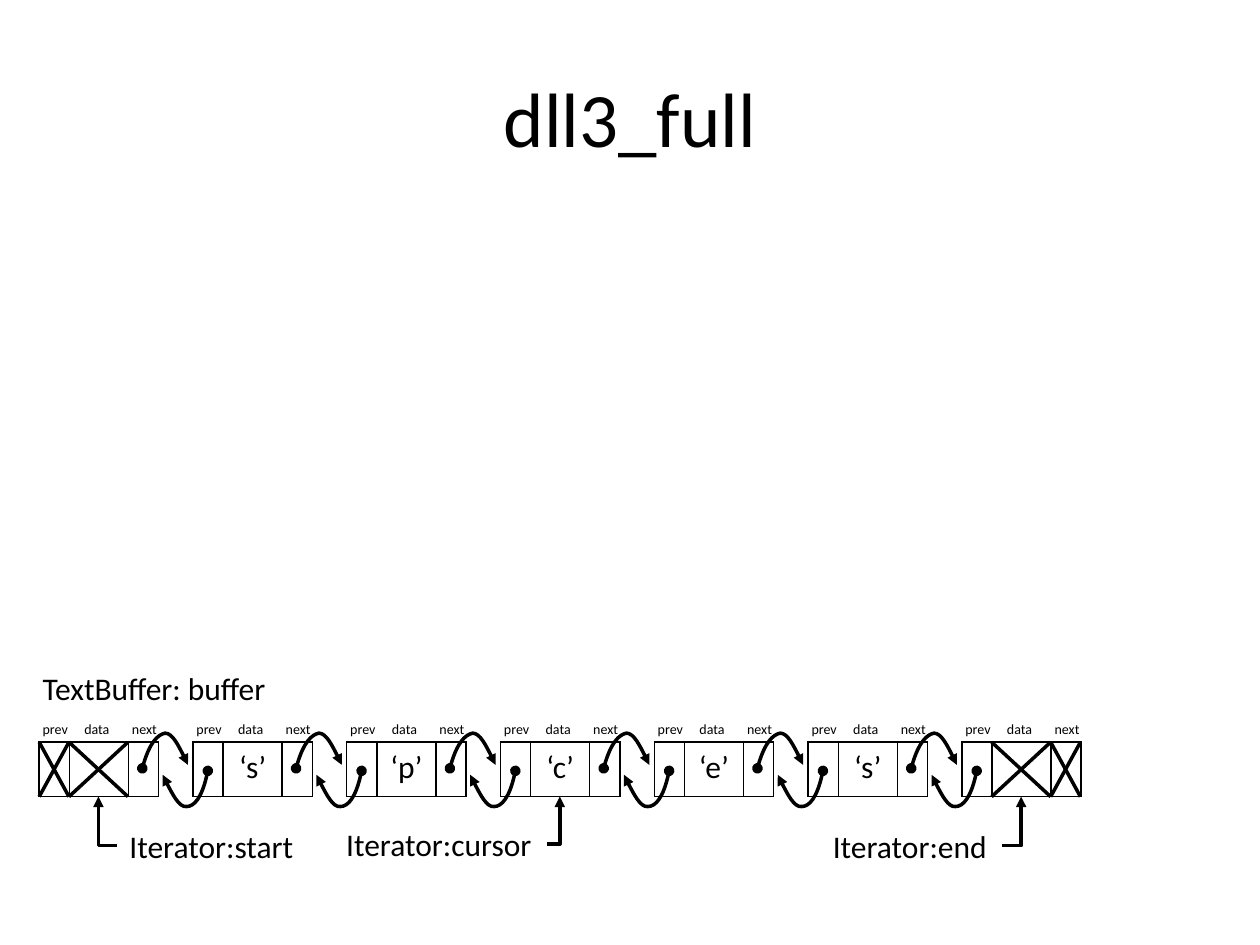
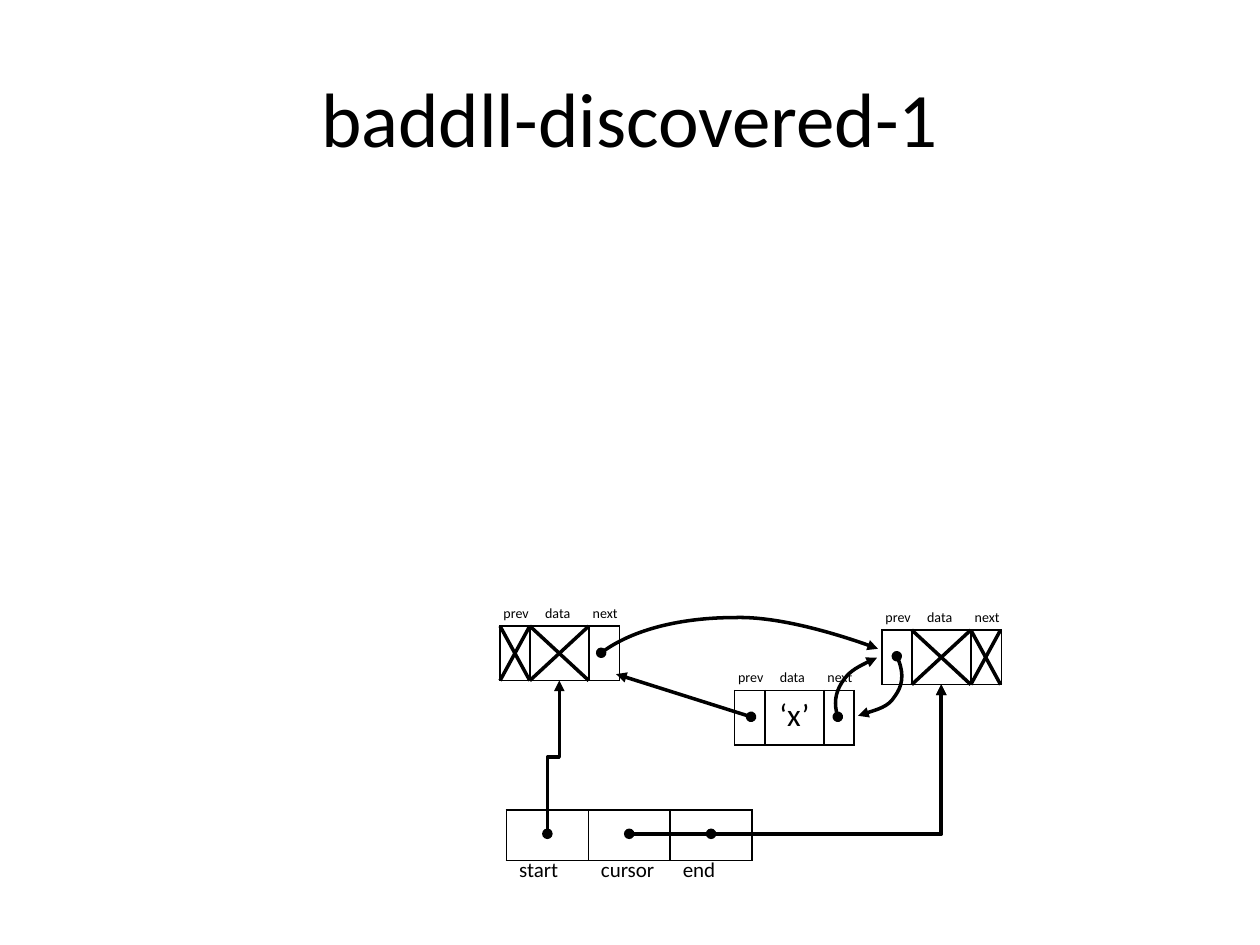
import dataclasses
import typing

import lxml.etree
import pptx
import pptx.dml.color
import pptx.enum.shapes
import pptx.enum.text
import pptx.oxml.ns
import pptx.util

Cm = pptx.util.Cm
qn = pptx.oxml.ns.qn
Point = tuple[float, float]

COLORS = {"ink": "000000", "paper": "FFFFFF"}
FONT = "Calibri"
LINE_PT = 2
CENTER = pptx.enum.text.PP_ALIGN.CENTER

# Node geometry in centimetres; arrow points are relative to the node's corner
COLUMNS = (0.6, 1.19, 0.6)
NODE_HEIGHT = 1.1
FIELD_LABELS = (("prev", -0.18), ("data", 0.66), ("next", 1.62))
NEXT_ARROW = ((2.08, 0.53), (2.21, 0.03), (2.39, -0.15), (2.54, -0.18),
              (2.69, -0.18), (2.92, 0.28), (3.0, 0.46))
PREV_ARROW = ((0.3, 0.58), (0.2, 1.09), (0.03, 1.3), (-0.13, 1.3),
              (-0.28, 1.32), (-0.53, 0.84), (-0.61, 0.66))


@dataclasses.dataclass
class Node:
    left: float
    top: float
    datum: str = ""
    crossed: tuple[int, ...] = ()

    @property
    def pointer_target(self) -> Point:
        return self.left + sum(COLUMNS) / 2, self.top + NODE_HEIGHT

    def offset(self, points: typing.Iterable[Point]) -> list[Point]:
        return [(self.left + x, self.top + y) for x, y in points]


@dataclasses.dataclass
class IteratorLabel:
    text: str
    left: float
    top: float
    width: float
    node: Node
    arrow_leaves_left: bool = False


def rgb(name: str) -> pptx.dml.color.RGBColor:
    return pptx.dml.color.RGBColor.from_string(COLORS[name])


def style_text(frame, size: float, align=None) -> None:
    for paragraph in frame.paragraphs:
        paragraph.alignment = align
        paragraph.font.size = pptx.util.Pt(size)
        for run in paragraph.runs:
            run.font.size = pptx.util.Pt(size)
            run.font.name = FONT
            run.font.color.rgb = rgb("ink")


def add_text(slide, text: str, left: float, top: float, width: float,
             height: float, size: float, wrap: bool = False, align=None):
    box = slide.shapes.add_textbox(Cm(left), Cm(top), Cm(width), Cm(height))
    frame = box.text_frame
    frame.text = text
    frame.word_wrap = wrap
    if not wrap:
        frame.auto_size = pptx.enum.text.MSO_AUTO_SIZE.SHAPE_TO_FIT_TEXT
    style_text(frame, size, align)
    return box


def add_title(slide, text: str) -> None:
    title = add_text(slide, text, 1.27, 0.76, 22.86, 3.18, 44, True, CENTER)
    title.text_frame.vertical_anchor = pptx.enum.text.MSO_ANCHOR.MIDDLE


def set_borders(cell, visible: bool) -> None:
    properties = cell._tc.get_or_add_tcPr()
    for position, side in enumerate(("lnL", "lnR", "lnT", "lnB")):
        border = lxml.etree.Element(qn(f"a:{side}"), w=str(pptx.util.Pt(1)))
        if visible:
            fill = lxml.etree.SubElement(border, qn("a:solidFill"))
            lxml.etree.SubElement(fill, qn("a:srgbClr"), val=COLORS["ink"])
        else:
            lxml.etree.SubElement(border, qn("a:noFill"))
        properties.insert(position, border)


def add_row(slide, left: float, top: float, widths: typing.Sequence[float],
            height: float, texts: typing.Sequence[str], size: float = 18,
            align=CENTER, boxed: bool = True) -> None:
    table = slide.shapes.add_table(1, len(widths), Cm(left), Cm(top),
                                   Cm(sum(widths)), Cm(height)).table
    table.first_row = table.horz_banding = False
    table.rows[0].height = Cm(height)
    for column, (width, text) in enumerate(zip(widths, texts)):
        table.columns[column].width = Cm(width)
        cell = table.cell(0, column)
        cell.text_frame.text = text
        style_text(cell.text_frame, size, align)
        if boxed:
            cell.fill.solid()
            cell.fill.fore_color.rgb = rgb("paper")
        else:
            cell.fill.background()
        set_borders(cell, boxed)


def style_line(shape, head: str = "", tail: str = "") -> None:
    shape.line.color.rgb = rgb("ink")
    shape.line.width = pptx.util.Pt(LINE_PT)
    outline = shape.line._get_or_add_ln()
    for tag, kind in (("a:headEnd", head), ("a:tailEnd", tail)):
        if kind:
            lxml.etree.SubElement(outline, qn(tag), type=kind)


def add_line(slide, start: Point, end: Point, head: str = "", tail: str = "",
             elbow: bool = False):
    kinds = pptx.enum.shapes.MSO_CONNECTOR
    line = slide.shapes.add_connector(
        kinds.ELBOW if elbow else kinds.STRAIGHT,
        Cm(start[0]), Cm(start[1]), Cm(end[0]), Cm(end[1]))
    style_line(line, head, tail)
    lxml.etree.SubElement(line._element.spPr, qn("a:effectLst"))
    return line


def add_corner_arrow(slide, start: Point, end: Point, head: str = "") -> None:
    """Run sideways from start, then turn once towards end."""
    arrow = add_line(slide, start, end, head, "triangle", elbow=True)
    arrow._element.spPr.find(qn("a:prstGeom")).set("prst", "bentConnector2")


def add_upright_step_arrow(slide, start: Point, end: Point) -> None:
    """Rise from start, step sideways halfway, and rise to end."""
    middle_x, middle_y = (start[0] + end[0]) / 2, (start[1] + end[1]) / 2
    half_rise, half_step = (start[1] - end[1]) / 2, (end[0] - start[0]) / 2
    arrow = add_line(slide, (middle_x + half_rise, middle_y + half_step),
                     (middle_x - half_rise, middle_y - half_step),
                     "oval", "triangle", elbow=True)
    arrow._element.spPr.find(qn("a:xfrm")).set("rot", str(90 * 60000))


def add_curve(slide, points: typing.Sequence[Point]) -> None:
    """Draw a Bézier arrow: a start, then three points per segment."""
    corners = [(Cm(x), Cm(y)) for x, y in points]
    builder = slide.shapes.build_freeform(*corners[0])
    builder.add_line_segments(corners[1:], close=False)
    curve = builder.convert_to_shape()
    curve.shadow.inherit = False
    curve.fill.background()
    style_line(curve, "oval", "triangle")
    steps = list(curve._element.iter(qn("a:lnTo")))
    for first in range(0, len(steps), 3):
        bezier = lxml.etree.SubElement(steps[0].getparent() if first == 0 else outline,
                                       qn("a:cubicBezTo"))
        outline = bezier.getparent()
        for step in steps[first:first + 3]:
            bezier.append(step[0])
            outline.remove(step)


def add_node(slide, node: Node) -> None:
    add_row(slide, node.left, node.top, COLUMNS, NODE_HEIGHT, ("", node.datum, ""))
    for label, shift in FIELD_LABELS:
        add_text(slide, label, node.left + shift, node.top - 0.56, 1.04, 0.61, 8)
    bottom = node.top + NODE_HEIGHT
    for column in node.crossed:
        left = node.left + sum(COLUMNS[:column])
        right = left + COLUMNS[column]
        add_line(slide, (left, bottom), (right, node.top))
        add_line(slide, (right, bottom), (left, node.top))


def build_full_list(slide) -> None:
    add_title(slide, "dll3_full")
    add_text(slide, "TextBuffer: buffer", 0.61, 13.36, 12.7, 1.02, 18, wrap=True)

    # Chain of nodes between two sentinels
    data = ("", "‘s’", "‘p’", "‘c’", "‘e’", "‘s’", "")
    nodes = [Node(0.79 + 3.1 * place, 14.96, datum) for place, datum in enumerate(data)]
    nodes[0].crossed, nodes[-1].crossed = (0, 1), (1, 2)
    for node in nodes:
        add_node(slide, node)
    for before, after in zip(nodes, nodes[1:]):
        add_curve(slide, before.offset(NEXT_ARROW))
        add_curve(slide, after.offset(PREV_ARROW))

    # Iterators
    for label in (
        IteratorLabel("Iterator:start", 2.36, 16.54, 3.99, nodes[0], True),
        IteratorLabel("Iterator:cursor", 6.73, 16.51, 4.29, nodes[3]),
        IteratorLabel("Iterator:end", 16.54, 16.54, 3.66, nodes[-1]),
    ):
        add_text(slide, label.text, label.left, label.top, label.width, 1.02, 18)
        edge = label.left if label.arrow_leaves_left else label.left + label.width
        add_corner_arrow(slide, (edge, label.top + 0.51), label.node.pointer_target)


def build_bad_list(slide) -> None:
    add_title(slide, "baddll-discovered-1")

    # Buffer fields with their names below
    left, top, width = 10.21, 16.33, 1.65
    names = ("start", "cursor", "end")
    widths = [width] * len(names)
    add_row(slide, left, top, widths, 1.02, [""] * len(names), size=12)
    add_row(slide, left, top + 0.84, widths, 1.02, names, 12, None, boxed=False)

    # Nodes
    first = Node(10.08, 12.62, crossed=(0, 1))
    last = Node(17.78, 12.7, crossed=(1, 2))
    inserted = Node(14.81, 13.92, "‘x’")
    for node in (first, last, inserted):
        add_node(slide, node)

    # Pointers from the buffer fields
    start, cursor, end = [(left + width * (place + 0.5), top + 0.48)
                          for place in range(len(names))]
    add_upright_step_arrow(slide, start, first.pointer_target)
    for field in (cursor, end):
        add_corner_arrow(slide, field, last.pointer_target, "oval")

    # Pointers between the nodes
    add_line(slide, (15.14, 14.45), (12.42, 13.59), "oval", "triangle")
    first_next = ((12.12, 13.16), (12.8, 12.65), (13.87, 12.45), (14.81, 12.45),
                  (15.72, 12.42), (17.25, 12.9), (17.7, 13.08))
    last_prev = ((18.08, 13.23), (18.24, 13.56), (18.19, 13.84), (18.03, 14.05),
                 (17.91, 14.25), (17.45, 14.38), (17.3, 14.43))
    inserted_next = ((16.89, 14.45), (16.79, 14.15), (16.87, 13.89), (17.02, 13.69),
                     (17.15, 13.51), (17.55, 13.31), (17.68, 13.26))
    for pointer in (first_next, last_prev, inserted_next):
        add_curve(slide, pointer)


def main() -> None:
    deck = pptx.Presentation()
    deck.slide_width, deck.slide_height = Cm(25.4), Cm(19.05)
    for build in (build_full_list, build_bad_list):
        build(deck.slides.add_slide(deck.slide_layouts[6]))
    deck.save("out.pptx")


if __name__ == "__main__":
    main()
